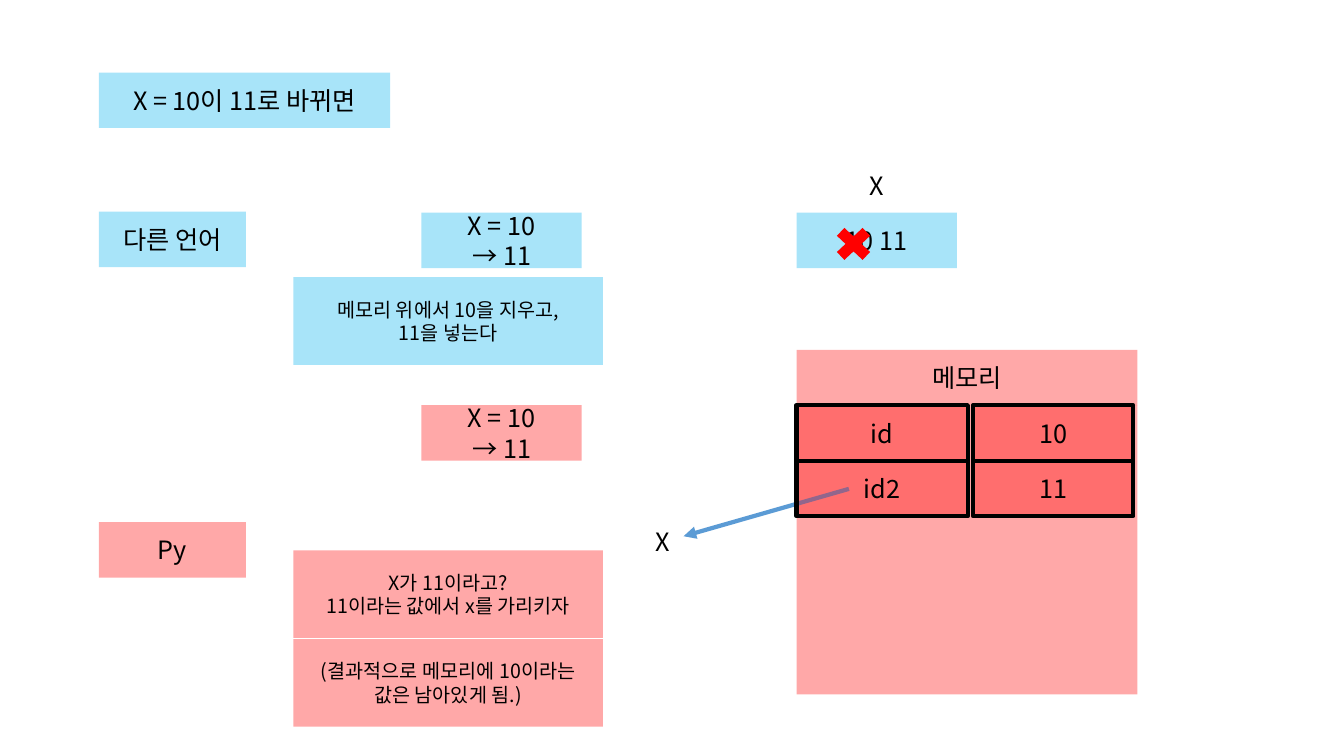
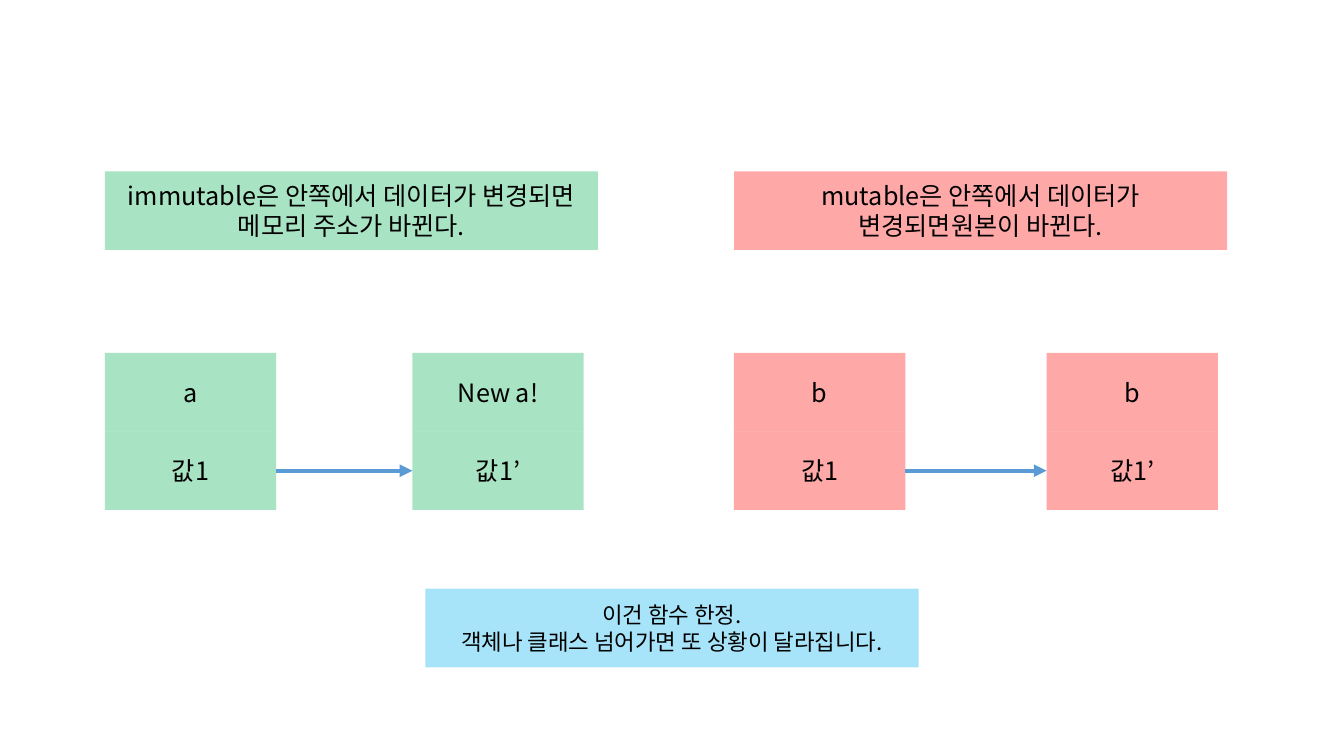
from lxml.etree import SubElement
from pptx import Presentation
from pptx.dml.color import RGBColor as RGB
from pptx.enum.shapes import MSO_CONNECTOR as LINK, MSO_SHAPE as SHAPE
from pptx.enum.text import MSO_ANCHOR as ANCHOR, PP_ALIGN as ALIGN
from pptx.oxml.ns import qn
from pptx.util import Inches, Pt

COLORS = {"blue": "00B0F0", "red": "FF0000", "green": "00B050",
          "arrow": "5B9BD5", "ink": "000000"}
PAINT = {name: RGB.from_string(value) for name, value in COLORS.items()}
FONT = "Noto Sans CJK KR"
OPACITY = "34000"
FRAME = {"word_wrap": True, "vertical_anchor": ANCHOR.MIDDLE}


def add_label(slide, text, left, top, width, height, color=None, size=18, border=0):
    area = [Inches(length) for length in (left, top, width, height)]
    if color:
        label = slide.shapes.add_shape(SHAPE.RECTANGLE, *area)
        label.shadow.inherit = False
        label.fill.solid()
        label.fill.fore_color.rgb = PAINT[color]
        tint = label.fill._xPr.find(qn("a:solidFill"))[0]
        SubElement(tint, qn("a:alpha"), val=OPACITY)
        if border:
            label.line.color.rgb = PAINT["ink"]
            label.line.width = Pt(border)
        else:
            label.line.fill.background()
    else:
        label = slide.shapes.add_textbox(*area)
    frame = label.text_frame
    frame.text = text
    for name, value in FRAME.items():
        setattr(frame, name, value)
    for paragraph in frame.paragraphs:
        paragraph.alignment = ALIGN.CENTER
        for run in paragraph.runs:
            for name, value in {"name": FONT, "size": Pt(size)}.items():
                setattr(run.font, name, value)
            run.font.color.rgb = PAINT["ink"]
            SubElement(run.font._element, qn("a:ea"), typeface=FONT)


def add_arrow(slide, *ends):
    arrow = slide.shapes.add_connector(LINK.STRAIGHT, *[Inches(end) for end in ends])
    arrow.line.color.rgb = PAINT["arrow"]
    arrow.line.width = Pt(3)
    SubElement(arrow.line._get_or_add_ln(), qn("a:tailEnd"), type="triangle")
    SubElement(arrow._element.spPr, qn("a:effectLst"))


deck = Presentation()
deck.slide_width, deck.slide_height = Inches(13.33), Inches(7.5)
blank = deck.slide_layouts[6]

assignment = deck.slides.add_slide(blank)
ROW, NOTE_ROW = 0.55, 0.87
TOPIC_X, NOTE_X, CODE_X, MEMORY_X = 0.98, 2.91, 4.18, 7.9
TOPIC_W, NOTE_W, CODE_W, MEMORY_W, ID_W = 1.46, 3.07, 1.59, 3.38, 1.7
CODE_Y, MEMORY_Y = 2.11, 4.02
VALUE_X = 9.65

for topic, top, width, color in (
    ("X = 10이 11로 바뀌면", 0.72, 2.89, "blue"),
    ("다른 언어", 2.1, TOPIC_W, "blue"),
    ("Py", 5.18, TOPIC_W, "red"),
):
    add_label(assignment, topic, TOPIC_X, top, width, ROW, color)

for top, color in ((CODE_Y, "blue"), (MEMORY_Y, "red")):
    add_label(assignment, "X = 10\n→ 11", CODE_X, top, CODE_W, ROW, color)

for note, top, color in (
    ("메모리 위에서 10을 지우고,\n11을 넣는다", 2.75, "blue"),
    ("X가 11이라고?\n11이라는 값에서 x를 가리키자", 5.46, "red"),
    ("(결과적으로 메모리에 10이라는 값은 남아있게 됨.)", 6.34, "red"),
):
    add_label(assignment, note, NOTE_X, top, NOTE_W, NOTE_ROW, color, 14)

add_label(assignment, "10 11", MEMORY_X, CODE_Y, CODE_W, ROW, "blue")
for left, top in ((MEMORY_X, CODE_Y - ROW), (5.78, 5.1)):
    add_label(assignment, "X", left, top, CODE_W, ROW)

add_label(assignment, "메모리", MEMORY_X, MEMORY_Y - ROW, MEMORY_W, ROW, "red")
add_label(assignment, "", MEMORY_X, MEMORY_Y, MEMORY_W, 2.87, "red")
add_arrow(assignment, 8.42, 4.85, 6.78, 5.32)
for row, (address, value) in enumerate((("id", "10"), ("id2", "11"))):
    top = MEMORY_Y + row * ROW
    add_label(assignment, address, MEMORY_X, top, ID_W, ROW, "red", border=3)
    add_label(assignment, value, VALUE_X, top, CODE_W, ROW, "red", border=3)

erased = assignment.shapes.add_shape(
    SHAPE.MATH_MULTIPLY, Inches(8.22), Inches(2.19), Inches(0.49), Inches(0.46))
erased.shadow.inherit = False
erased.fill.solid()
erased.fill.fore_color.rgb = PAINT["red"]
erased.line.fill.background()

mutability = deck.slides.add_slide(blank)
BAND_W, CELL_W, CELL_H = 4.89, 1.7, 0.78
RULE_Y, NAME_Y, REMARK_Y = 1.7, 3.5, 5.84
CONTENT_Y = NAME_Y + CELL_H

for rule, before_x, after_x, before, after, color in (
    ("immutable은 안쪽에서 데이터가 변경되면 메모리 주소가 바뀐다.",
     1.04, 4.09, "a", "New a!", "green"),
    ("mutable은 안쪽에서 데이터가 변경되면원본이 바뀐다.",
     7.28, 10.38, "b", "b", "red"),
):
    add_label(mutability, rule, before_x, RULE_Y, BAND_W, CELL_H, color)
    for left, variable, content in ((before_x, before, "값1"), (after_x, after, "값1’")):
        add_label(mutability, variable, left, NAME_Y, CELL_W, CELL_H, color)
        add_label(mutability, content, left, CONTENT_Y, CELL_W, CELL_H, color)
    middle = CONTENT_Y + CELL_H / 2
    add_arrow(mutability, before_x + CELL_W, middle, after_x, middle)

add_label(mutability, "이건 함수 한정.\n객체나 클래스 넘어가면 또 상황이 달라집니다.",
          (13.33 - BAND_W) / 2, REMARK_Y, BAND_W, CELL_H, "blue", 16)

deck.save("out.pptx")
